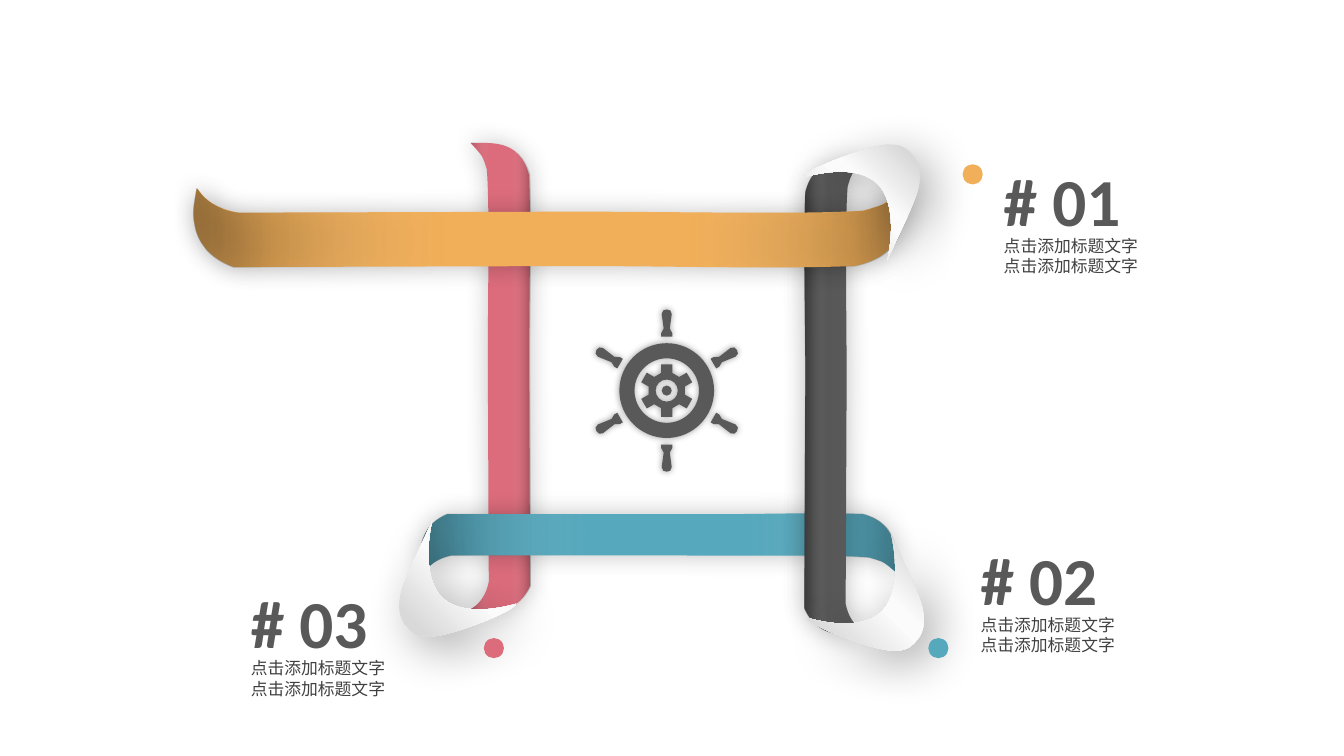
import math

from pptx import Presentation
from pptx.dml.color import RGBColor
from pptx.enum import shapes, text
from pptx.oxml import parse_xml
from pptx.oxml.ns import nsdecls, qn
from pptx.util import Emu, Pt

PX = 9144
CAPTION = "点击添加标题文字\n点击添加标题文字"
PINK, TEAL, ORANGE, GRAY = "DC6C7C", "56A8BD", "F1AF59", "595959"
HEADINGS = [("# 01", 986, 153), ("# 02", 963, 529), ("# 03", 239, 572)]
DOTS = [(ORANGE, 955, 163), (TEAL, 921, 633), (PINK, 480, 633)]

SHADE = [(0, "0D0D0D", 40), (12, "0D0D0D", 15), (36, "FBFBFB", 0),
         (69, "F8F8F8", 0), (92, "0D0D0D", 15), (100, "0D0D0D", 32)]
PAPER = [(10, "D9D9D9", 100), (42, "FBFBFB", 100), (51, "F8F8F8", 100), (87, "D9D9D9", 100)]
RIBBON_SHADOW = (24, 17, 0, 0)
FOLD_SHADOW = (35, 35, 12, 45)
HELM_SHADOW = (40, 5, 0, 0)

RIBBONS = [
    (PINK, None, [
        (467, 142), (480, 156, 479, 155, 483, 168), (486, 204, 484, 290, 484, 358),
        (485, 577), (480, 603, 461, 605, 468, 605), (475, 606, 511, 616, 526, 581),
        (525, 358), (525, 290, 527, 230, 525, 174), (516, 137, 485, 142, 467, 142)]),
    (TEAL, None, [
        (889, 568), (874, 555, 875, 557, 862, 553), (825, 550, 738, 552, 669, 551),
        (448, 551), (422, 556, 420, 575, 420, 568), (419, 561, 408, 525, 444, 510),
        (670, 510), (739, 511, 799, 508, 856, 510), (893, 520, 888, 551, 889, 568)]),
    (GRAY, (40, 18, 0, 0), [
        (857, 159), (844, 173, 845, 172, 841, 185), (838, 222, 840, 309, 840, 378),
        (839, 599), (844, 625, 863, 627, 856, 627), (849, 628, 813, 639, 798, 603),
        (799, 377), (799, 308, 797, 248, 799, 191), (808, 154, 839, 159, 857, 159)]),
    (ORANGE, (32, 17, 3, 20), [
        (897, 188), (874, 205, 877, 203, 856, 209), (802, 213, 672, 210, 569, 210),
        (237, 211), (198, 205, 196, 180, 195, 189), (194, 198, 179, 245, 232, 265),
        (570, 264), (672, 264, 763, 267, 848, 264), (903, 252, 896, 211, 897, 188)]),
]
FOLD = [(2, 72), (-2, 90, 2, 100, 9, 107), (15, 114, 24, 118, 42, 114),
        (60, 111, 116, 90, 116, 83), (87, 91, 58, 92, 42, 76),
        (26, 60, 27, 25, 33, 0), (28, 13, 6, 55, 2, 72)]
FOLD_CORNERS = [(396, 516, 1, 1), (917, 530, -1, 1), (913, 259, -1, -1)]

HELM_X, HELM_Y = 661.5, 387.5
HELM_RADII = [47, 32, 11, 5]
HANDLE = [(5.5, -53.5), (5.5, -57), (3, -61.5), (5, -76), (3.5, -79.5), (0, -80.5)]
TOOTH = [(-5.5, -17.5), (-5.5, -26), (5.5, -26), (5.5, -17.5)]


def px(value):
    return Emu(round(value * PX))


def rgb(color):
    return RGBColor.from_string(color)


def pairs(segment):
    return list(zip(segment[::2], segment[1::2]))


def transform(outline, change):
    return [tuple(value for x, y in pairs(segment) for value in change(x, y))
            for segment in outline]


def turn(outline, degrees):
    c, s = math.cos(math.radians(degrees)), math.sin(math.radians(degrees))
    return transform(outline, lambda x, y: (x * c - y * s, x * s + y * c))


def ring(radius):
    bend = 0.55 * radius
    quarter = [(radius, bend, bend, radius, 0, radius)]
    return [(radius, 0)] + [turn(quarter, 90 * i)[0] for i in range(4)]


def add_outline(slide, contours):
    scaled = [transform(contour, lambda x, y: (px(x), px(y))) for contour in contours]
    builder = slide.shapes.build_freeform(*scaled[0][0])
    for index, contour in enumerate(scaled):
        if index:
            builder.move_to(*contour[0])
        builder.add_line_segments([p for segment in contour[1:] for p in pairs(segment)],
                                  close=True)
    shape = builder.convert_to_shape()
    lines = iter(list(shape._element.spPr.iter(qn("a:lnTo"))))
    for contour in scaled:
        for segment in contour[1:]:
            first, *others = [next(lines) for _ in pairs(segment)]
            if others:
                first.tag = qn("a:cubicBezTo")
            for line in others:
                first.append(line[0])
                line.getparent().remove(line)
    return shape


def fill_gradient(shape, stops, angle):
    stop_xml = "".join(
        f'<a:gs pos="{at * 1000}"><a:srgbClr val="{color}">'
        f'<a:alpha val="{opacity * 1000}"/></a:srgbClr></a:gs>' for at, color, opacity in stops)
    gradient = parse_xml(f'<a:gradFill {nsdecls("a")}><a:gsLst>{stop_xml}</a:gsLst>'
                         f'<a:lin ang="{angle * 60000}" scaled="0"/></a:gradFill>')
    shape.fill.background()
    properties = shape._element.spPr
    properties.replace(properties.find(qn("a:noFill")), gradient)


def finish(shape, color=None, shadow=None):
    if color:
        shape.fill.solid()
        shape.fill.fore_color.rgb = rgb(color)
    shape.line.fill.background()
    shape.shadow.inherit = False
    if shadow:
        opacity, blur, distance, angle = shadow
        shape._element.spPr.find(qn("a:effectLst")).append(parse_xml(
            f'<a:outerShdw {nsdecls("a")} blurRad="{Pt(blur)}" dist="{Pt(distance)}" '
            f'dir="{angle * 60000}" algn="ctr" rotWithShape="0"><a:srgbClr val="000000">'
            f'<a:alpha val="{opacity * 1000}"/></a:srgbClr></a:outerShdw>'))


def add_text(slide, content, box, font, size, color, bold, wrap):
    frame = slide.shapes.add_textbox(*map(px, box)).text_frame
    frame.word_wrap = wrap
    frame.auto_size = text.MSO_AUTO_SIZE.SHAPE_TO_FIT_TEXT
    frame.text = content
    for paragraph in frame.paragraphs:
        for run in paragraph.runs:
            run.font.name, run.font.size, run.font.bold = font, Pt(size), bold
            run.font.color.rgb = rgb(color)
            run.font._element.append(parse_xml(f'<a:ea {nsdecls("a")} typeface="{font}"/>'))


def helm_contours():
    handle = HANDLE + [(-x, y) for x, y in HANDLE[-2::-1]]
    contours = [turn(handle, 60 * i) for i in range(6)]
    contours.append([point for i in range(6) for point in turn(TOOTH, 60 * i)])
    contours += [ring(radius) for radius in HELM_RADII]
    return [transform(c, lambda x, y: (HELM_X + x, HELM_Y + y)) for c in contours]


def main():
    deck = Presentation()
    deck.slide_width, deck.slide_height = Emu(12192000), Emu(6858000)
    slide = deck.slides.add_slide(deck.slide_layouts[6])

    for heading, x, y in HEADINGS:
        add_text(slide, heading, (x, y, 137, 91), "Calibri", 48, GRAY, True, False)
        add_text(slide, CAPTION, (x, y + 76, 230, 50), "Noto Sans CJK SC", 12,
                 "404040", False, True)

    for color, shade_shadow, outline in RIBBONS:
        finish(add_outline(slide, [outline]), color, RIBBON_SHADOW)
        shade = add_outline(slide, [outline])
        fill_gradient(shade, SHADE, 0)
        finish(shade, shadow=shade_shadow)

    for x, y, flip_x, flip_y in FOLD_CORNERS:
        fold = add_outline(slide, [transform(
            FOLD, lambda dx, dy: (x + flip_x * dx, y + flip_y * dy))])
        fill_gradient(fold, PAPER, 135)
        finish(fold, shadow=FOLD_SHADOW)

    finish(add_outline(slide, helm_contours()), GRAY, HELM_SHADOW)

    for color, x, y in DOTS:
        dot = slide.shapes.add_shape(shapes.MSO_SHAPE.OVAL, px(x), px(y), px(20), px(20))
        finish(dot, color)

    deck.save("out.pptx")


if __name__ == "__main__":
    main()
